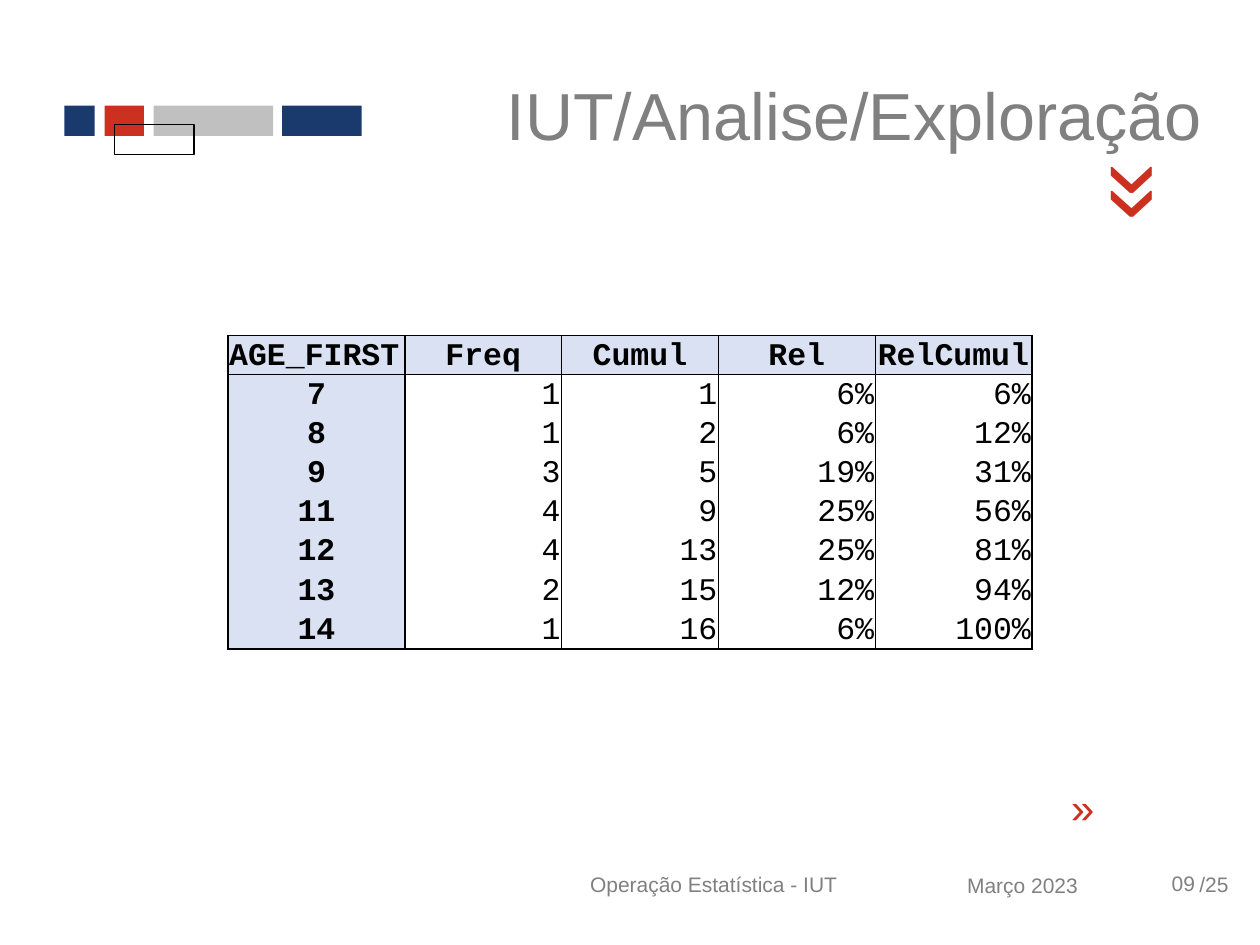
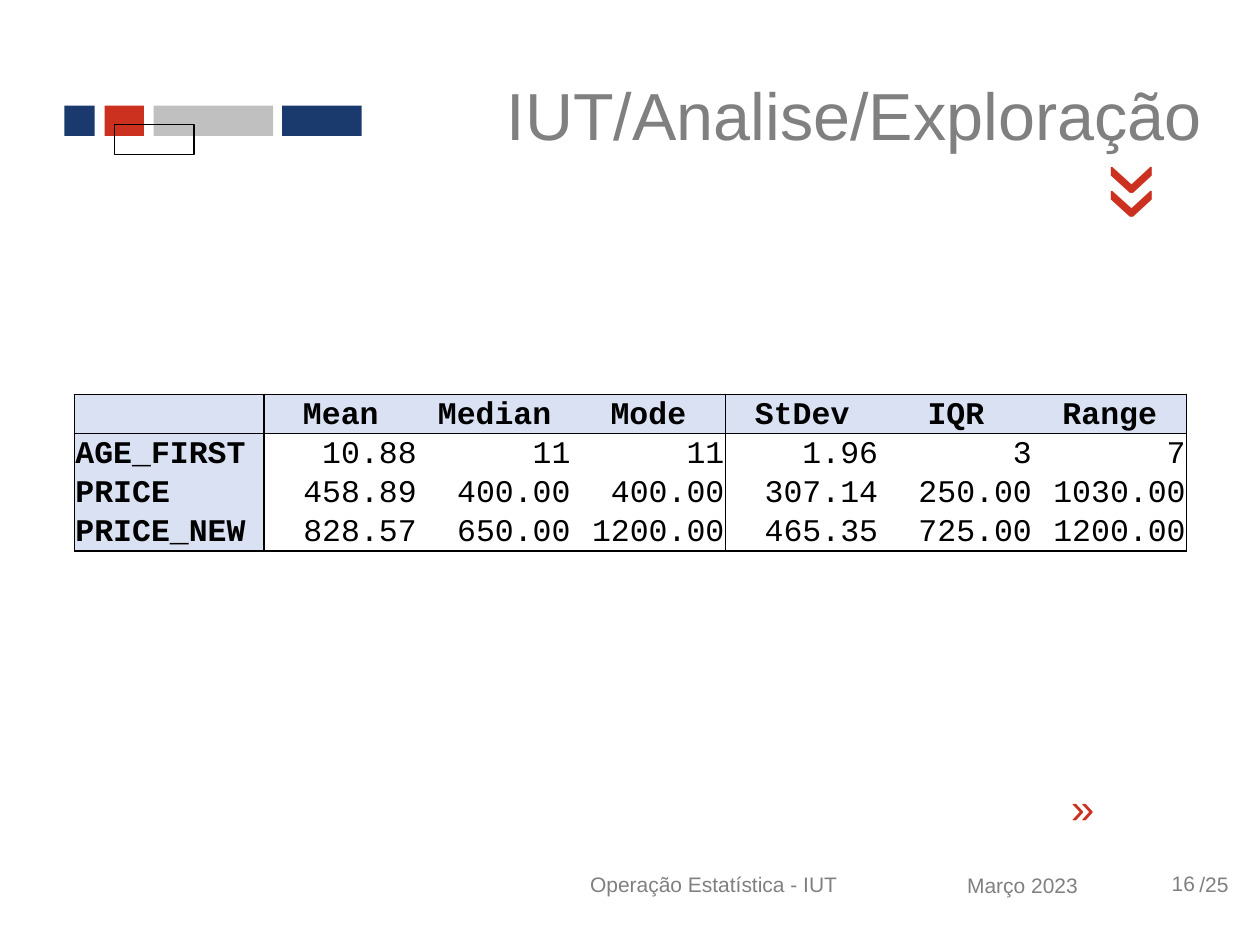
from dataclasses import dataclass

from lxml.etree import SubElement
from pptx import Presentation
from pptx.dml.color import RGBColor
from pptx.enum.shapes import MSO_SHAPE
from pptx.enum.text import MSO_ANCHOR, PP_ALIGN
from pptx.oxml.ns import qn
from pptx.util import Cm, Pt

NAVY = RGBColor(0x1A, 0x3A, 0x6E)
RED = RGBColor(0xCC, 0x30, 0x1F)
SILVER = RGBColor(0xC0, 0xC0, 0xC0)
GRAY = RGBColor(0x80, 0x80, 0x80)
BLACK = RGBColor(0, 0, 0)
PALE_BLUE = RGBColor(0xD9, 0xE1, 0xF2)

LEFT, CENTER, RIGHT = PP_ALIGN.LEFT, PP_ALIGN.CENTER, PP_ALIGN.RIGHT
TITLE = "IUT/Analise/Exploração"
TITLE_BOX = (7.7, 1.12, 16.79, 2.36)
ROW_HEIGHT = 0.79
THICK, THIN = 1, 0.5


@dataclass(frozen=True)
class Bar:
    left: float
    width: float
    top: float = 2.13
    fill: RGBColor | None = None


@dataclass(frozen=True)
class Label:
    """Lengths in cm, text size in points; margins are left, top, right, bottom."""
    text: str
    box: tuple[float, float, float, float]
    size: int = 12
    color: RGBColor = GRAY
    align: PP_ALIGN = LEFT
    anchor: MSO_ANCHOR = MSO_ANCHOR.MIDDLE
    margins: tuple[float, float, float, float] = (0.25, 0.13, 0.25, 0.13)
    rotation: int = 0


@dataclass(frozen=True)
class StatTable:
    """Rules maps a column to the line width on its left edge."""
    page: str
    left: float
    top: float
    first_width: float
    width: float
    rules: dict[int, float]
    corner_align: PP_ALIGN
    key_align: PP_ALIGN
    rows: list[list[str]]


BARS = [
    Bar(1.3, 0.61, fill=NAVY),
    Bar(2.11, 0.79, fill=RED),
    Bar(3.1, 2.41, fill=SILVER),
    Bar(5.69, 1.6, fill=NAVY),
    Bar(2.31, 1.6, top=2.51),
]

LABELS = [
    Label("/25", (23.11, 17.12, 2.39, 1.4), margins=(1.07, 0.13, 0.25, 0.13)),
    Label("Operação Estatística - IUT", (10.49, 17.12, 7.8, 1.4), align=CENTER),
    Label("Março 2023", (18.29, 17.15, 4.65, 1.4), align=CENTER),
    Label("«", (21.01, 16, 1.3, 1.27), 24, RED, anchor=MSO_ANCHOR.TOP,
          margins=(0.25, 0.27, 0, 0), rotation=180),
    Label("«", (21.59, 2.62, 1.4, 2.79), 60, RED, anchor=MSO_ANCHOR.TOP,
          margins=(0.25, 0.36, 0, 0), rotation=270),
]

TABLES = [
    StatTable("09", 4.6, 6.76, 3.56, 3.16,
              {0: THICK, 1: THICK, 2: THIN, 3: THIN, 4: THIN, 5: THICK},
              LEFT, CENTER, [
                  ["AGE_FIRST", "Freq", "Cumul", "Rel", "RelCumul"],
                  ["7", "1", "1", "6%", "6%"],
                  ["8", "1", "2", "6%", "12%"],
                  ["9", "3", "5", "19%", "31%"],
                  ["11", "4", "9", "25%", "56%"],
                  ["12", "4", "13", "25%", "81%"],
                  ["13", "2", "15", "12%", "94%"],
                  ["14", "1", "16", "6%", "100%"],
              ]),
    StatTable("16", 1.5, 7.95, 3.82, 3.1,
              {0: THICK, 1: THICK, 4: THIN, 7: THICK},
              LEFT, LEFT, [
                  ["", "Mean", "Median", "Mode", "StDev", "IQR", "Range"],
                  ["AGE_FIRST", "10.88", "11", "11", "1.96", "3", "7"],
                  ["PRICE", "458.89", "400.00", "400.00", "307.14", "250.00", "1030.00"],
                  ["PRICE_NEW", "828.57", "650.00", "1200.00", "465.35", "725.00", "1200.00"],
              ]),
]


def apply(obj, values: dict) -> None:
    for name, value in values.items():
        setattr(obj, name, value)


def write(tf, text: str, align, size: int, color: RGBColor,
          font: str = "Arial", bold: bool = False) -> None:
    p = tf.paragraphs[0]
    p.alignment = align
    r = p.add_run()
    r.text = text
    apply(r.font, {"name": font, "size": Pt(size), "bold": bold})
    r.font.color.rgb = color


def margin_values(margins: tuple[float, ...]) -> dict:
    sides = ("left", "top", "right", "bottom")
    return {f"margin_{side}": Cm(m) for side, m in zip(sides, margins)}


def add_bar(s, bar: Bar) -> None:
    sp = s.shapes.add_shape(MSO_SHAPE.RECTANGLE, Cm(bar.left), Cm(bar.top),
                            Cm(bar.width), Cm(0.61))
    sp.shadow.inherit = False
    if bar.fill is None:
        sp.fill.background()
        sp.line.color.rgb = BLACK
        sp.line.width = Pt(0.75)
    else:
        sp.fill.solid()
        sp.fill.fore_color.rgb = bar.fill
        sp.line.fill.background()


def add_label(s, label: Label) -> None:
    sp = s.shapes.add_textbox(*map(Cm, label.box))
    sp.rotation = label.rotation
    tf = sp.text_frame
    apply(tf, {"word_wrap": True, "vertical_anchor": label.anchor,
               **margin_values(label.margins)})
    write(tf, label.text, label.align, label.size, label.color)


def set_title(s) -> None:
    sp = s.shapes.title
    apply(sp, dict(zip(("left", "top", "width", "height"), map(Cm, TITLE_BOX))))
    sp.text_frame.vertical_anchor = MSO_ANCHOR.MIDDLE
    write(sp.text_frame, TITLE, RIGHT, 38, GRAY)


def set_borders(cell, widths: dict[str, float]) -> None:
    """Draws each side with its width in points; zero means no line."""
    tc_pr = cell._tc.get_or_add_tcPr()
    for side, width in widths.items():
        ln = SubElement(tc_pr, qn(f"a:ln{side}"), w=str(Pt(width)))
        if width:
            fill = SubElement(ln, qn("a:solidFill"))
            SubElement(fill, qn("a:srgbClr"), val=str(BLACK))
        else:
            SubElement(ln, qn("a:noFill"))


def cell_align(spec_table: StatTable, row: int, col: int):
    if row == 0:
        return CENTER if col else spec_table.corner_align
    return RIGHT if col else spec_table.key_align


def add_stat_table(s, stats: StatTable) -> None:
    n_rows, n_cols = len(stats.rows), len(stats.rows[0])
    total = stats.first_width + (n_cols - 1) * stats.width
    table = s.shapes.add_table(n_rows, n_cols, Cm(stats.left), Cm(stats.top),
                               Cm(total), Cm(n_rows * ROW_HEIGHT)).table
    apply(table, {"first_row": False, "horz_banding": False})
    for col, column in enumerate(table.columns):
        column.width = Cm(stats.width if col else stats.first_width)
    row_rules = {0: THICK, 1: THICK, n_rows: THICK}
    for row, values in enumerate(stats.rows):
        table.rows[row].height = Cm(ROW_HEIGHT)
        for col, text in enumerate(values):
            cell = table.cell(row, col)
            is_header = row == 0 or col == 0
            apply(cell, {"vertical_anchor": MSO_ANCHOR.BOTTOM,
                         **margin_values((0.02, 0.02, 0.02, 0))})
            set_borders(cell, {"L": stats.rules.get(col, 0),
                               "R": stats.rules.get(col + 1, 0),
                               "T": row_rules.get(row, 0),
                               "B": row_rules.get(row + 1, 0)})
            if is_header:
                cell.fill.solid()
                cell.fill.fore_color.rgb = PALE_BLUE
            else:
                cell.fill.background()
            write(cell.text_frame, text, cell_align(stats, row, col), 18, BLACK,
                  "Courier New", is_header)


def add_stat_slide(prs, stats: StatTable) -> None:
    s = prs.slides.add_slide(prs.slide_layouts[5])
    for bar in BARS:
        add_bar(s, bar)
    for label in LABELS:
        add_label(s, label)
    add_label(s, Label(stats.page, (23.37, 17.42, 1.12, 0.76)))
    set_title(s)
    add_stat_table(s, stats)


def main() -> None:
    prs = Presentation()
    apply(prs, {"slide_width": Cm(25.4), "slide_height": Cm(19.05)})
    for stats in TABLES:
        add_stat_slide(prs, stats)
    prs.save("out.pptx")


if __name__ == "__main__":
    main()
